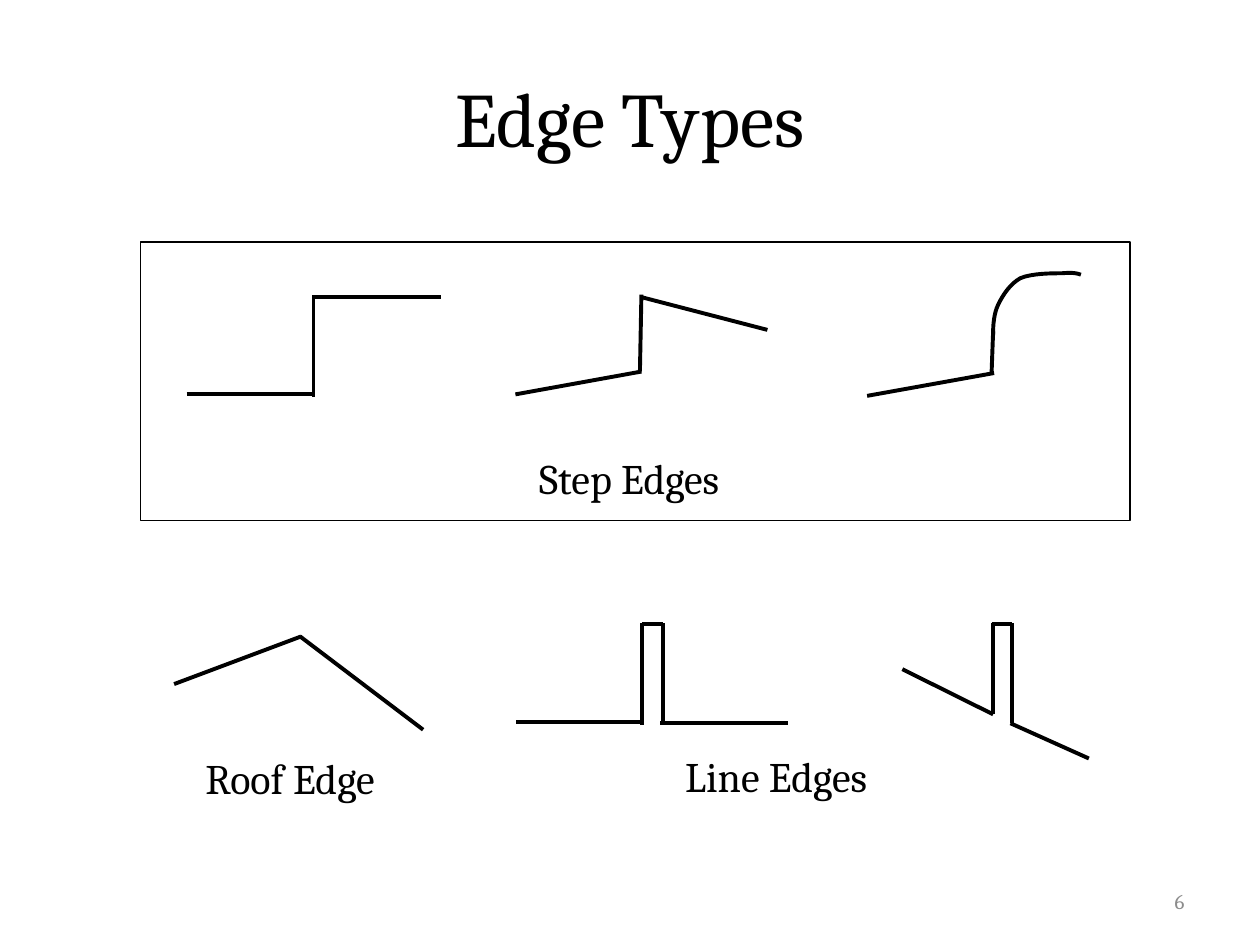
from dataclasses import dataclass

from lxml.etree import SubElement
from pptx import Presentation
from pptx.dml.color import RGBColor
from pptx.enum.shapes import MSO_CONNECTOR, MSO_SHAPE
from pptx.enum.text import MSO_ANCHOR, MSO_AUTO_SIZE, PP_ALIGN
from pptx.oxml.ns import qn
from pptx.util import Cm, Pt


@dataclass(frozen=True)
class Theme:
    font: str = "Cambria"
    ink: RGBColor = RGBColor(0x00, 0x00, 0x00)
    muted: RGBColor = RGBColor(0x8C, 0x8C, 0x8C)
    title_size: Pt = Pt(44)
    label_size: Pt = Pt(24)
    number_size: Pt = Pt(12)
    edge_width: Pt = Pt(2.25)
    frame_width: Pt = Pt(0.75)


THEME = Theme()

STEP_EDGE = [
    (3.76, 7.95, 6.32, 7.95),
    (6.32, 5.99, 8.89, 5.99),
    (6.32, 8.00, 6.32, 5.94),
]
SLOPED_STEP_EDGE = [
    (10.39, 7.95, 12.93, 7.49),
    (12.93, 5.99, 15.47, 6.65),
    (12.90, 7.49, 12.93, 5.94),
]
CURVED_STEP_EDGE = [
    (17.48, 7.98, 20.04, 7.52),
    (19.99, 7.52, 20.02, 6.68),
]
CURVE_START = (20.02, 6.76)
CURVE_PIECES = [
    ((20.02, 6.53), (20.04, 6.32), (20.12, 6.15)),
    ((20.22, 5.94), (20.37, 5.72), (20.57, 5.61)),
    ((20.80, 5.51), (21.21, 5.51), (21.41, 5.51)),
    ((21.62, 5.49), (21.72, 5.51), (21.79, 5.54)),
]
ROOF_EDGE = [
    (3.51, 13.79, 6.07, 12.83),
    (6.05, 12.83, 8.53, 14.71),
]
FLAT_LINE_EDGE = [
    (10.41, 14.55, 12.98, 14.55),
    (13.31, 14.58, 15.88, 14.58),
    (12.95, 14.61, 12.95, 12.55),
    (13.36, 14.61, 13.36, 12.55),
    (12.95, 12.57, 13.36, 12.57),
]
SLOPED_LINE_EDGE = [
    (18.19, 13.49, 20.02, 14.40),
    (20.37, 14.58, 21.95, 15.29),
    (20.02, 14.40, 20.02, 12.55),
    (20.40, 14.58, 20.40, 12.55),
    (19.99, 12.57, 20.40, 12.57),
]
LABELS = [
    ("Step Edges", 10.62, 8.99, 4.47),
    ("Roof Edge", 3.89, 15.04, 4.19),
    ("Line Edges", 13.56, 15.01, 4.47),
]


def format_text(text_frame, size, color, alignment):
    for paragraph in text_frame.paragraphs:
        paragraph.alignment = alignment
        for run in paragraph.runs:
            run.font.name = THEME.font
            run.font.size = size
            run.font.color.rgb = color


def set_line(shape, width):
    shape.line.color.rgb = THEME.ink
    shape.line.width = width


def add_title(slide, text):
    title = slide.shapes.title
    title.left, title.top = Cm(1.27), Cm(0.76)
    title.width, title.height = Cm(22.86), Cm(3.18)
    title.text_frame.text = text
    title.text_frame.vertical_anchor = MSO_ANCHOR.MIDDLE
    format_text(title.text_frame, THEME.title_size, THEME.ink, PP_ALIGN.CENTER)


def add_edge(slide, segments):
    group = slide.shapes.add_group_shape()
    for segment in segments:
        connector = group.shapes.add_connector(
            MSO_CONNECTOR.STRAIGHT, *(Cm(value) for value in segment)
        )
        set_line(connector, THEME.edge_width)
        SubElement(connector._element.spPr, qn("a:effectLst"))
    return group


def bezier_points(start, pieces, steps=8):
    points = []
    for first, second, end in pieces:
        for step in range(1, steps + 1):
            t = step / steps
            weights = ((1 - t) ** 3, 3 * t * (1 - t) ** 2, 3 * t**2 * (1 - t), t**3)
            controls = (start, first, second, end)
            points.append(tuple(
                Cm(sum(weight * control[axis] for weight, control in zip(weights, controls)))
                for axis in range(2)
            ))
        start = end
    return points


def add_curve(group, start, pieces):
    builder = group.shapes.build_freeform(Cm(start[0]), Cm(start[1]))
    builder.add_line_segments(bezier_points(start, pieces), close=False)
    curve = builder.convert_to_shape()
    curve.shadow.inherit = False
    curve.fill.background()
    set_line(curve, THEME.edge_width)


def add_frame(slide):
    frame = slide.shapes.add_shape(
        MSO_SHAPE.RECTANGLE, Cm(2.84), Cm(4.88), Cm(19.94), Cm(5.61)
    )
    frame.shadow.inherit = False
    frame.fill.background()
    set_line(frame, THEME.frame_width)


def add_label(slide, text, left, top, width):
    label = slide.shapes.add_textbox(Cm(left), Cm(top), Cm(width), Cm(1.27))
    label.text_frame.text = text
    label.text_frame.word_wrap = False
    label.text_frame.auto_size = MSO_AUTO_SIZE.SHAPE_TO_FIT_TEXT
    format_text(label.text_frame, THEME.label_size, THEME.ink, PP_ALIGN.LEFT)


def add_slide_number(slide, text):
    number = slide.shapes.add_textbox(Cm(18.21), Cm(17.65), Cm(5.92), Cm(1.02))
    number.text_frame.text = text
    number.text_frame.word_wrap = True
    number.text_frame.vertical_anchor = MSO_ANCHOR.MIDDLE
    format_text(number.text_frame, THEME.number_size, THEME.muted, PP_ALIGN.RIGHT)


def main():
    presentation = Presentation()
    presentation.slide_width, presentation.slide_height = Cm(25.4), Cm(19.05)
    slide = presentation.slides.add_slide(presentation.slide_layouts[5])

    add_title(slide, "Edge Types")
    add_edge(slide, SLOPED_STEP_EDGE)
    curved_step = add_edge(slide, CURVED_STEP_EDGE)
    add_curve(curved_step, CURVE_START, CURVE_PIECES)
    for segments in (ROOF_EDGE, STEP_EDGE, FLAT_LINE_EDGE, SLOPED_LINE_EDGE):
        add_edge(slide, segments)
    add_frame(slide)
    for label in LABELS:
        add_label(slide, *label)
    add_slide_number(slide, "6")

    presentation.save("out.pptx")


if __name__ == "__main__":
    main()
